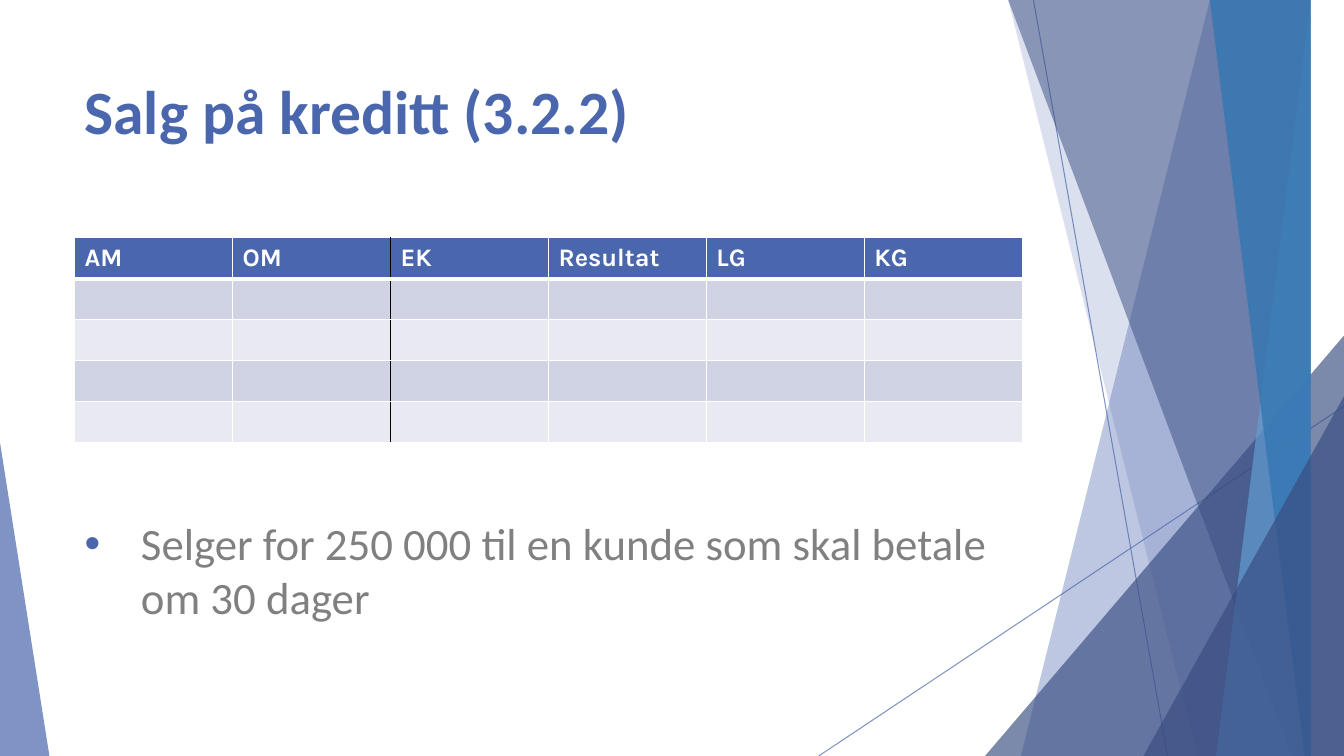
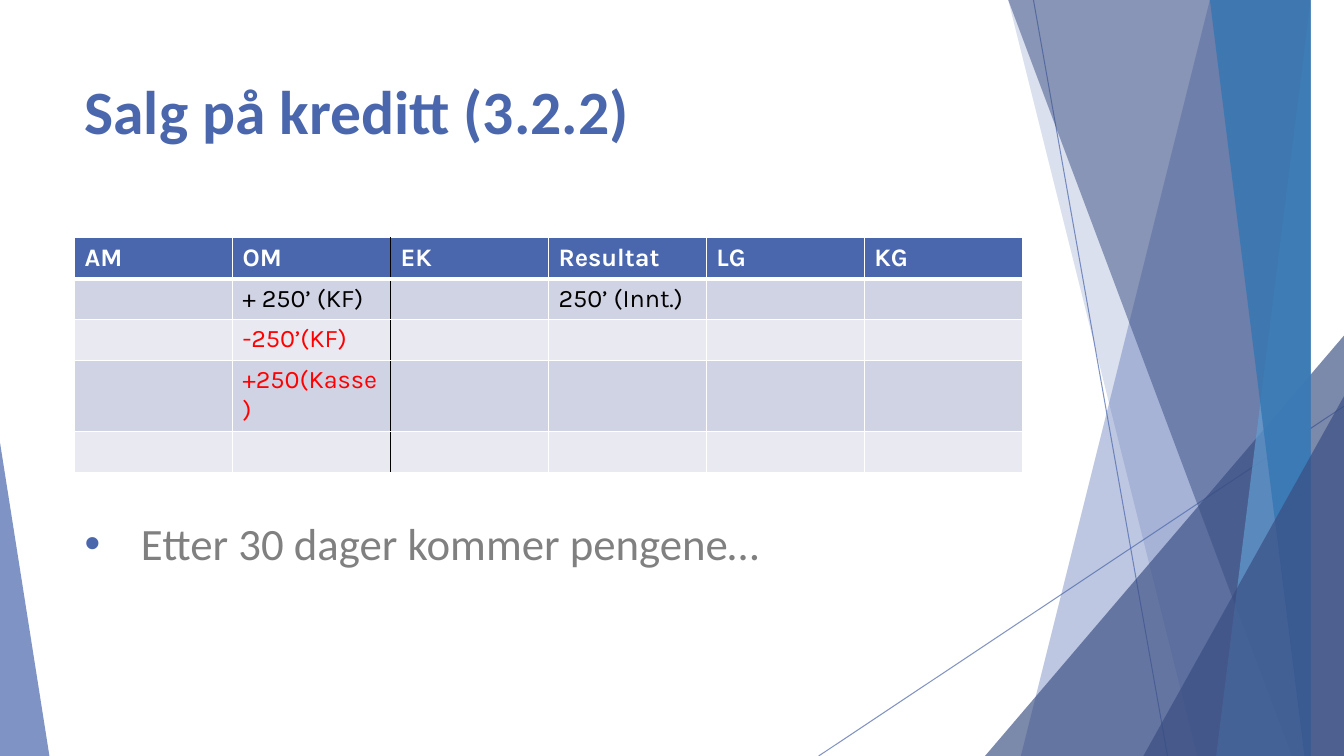
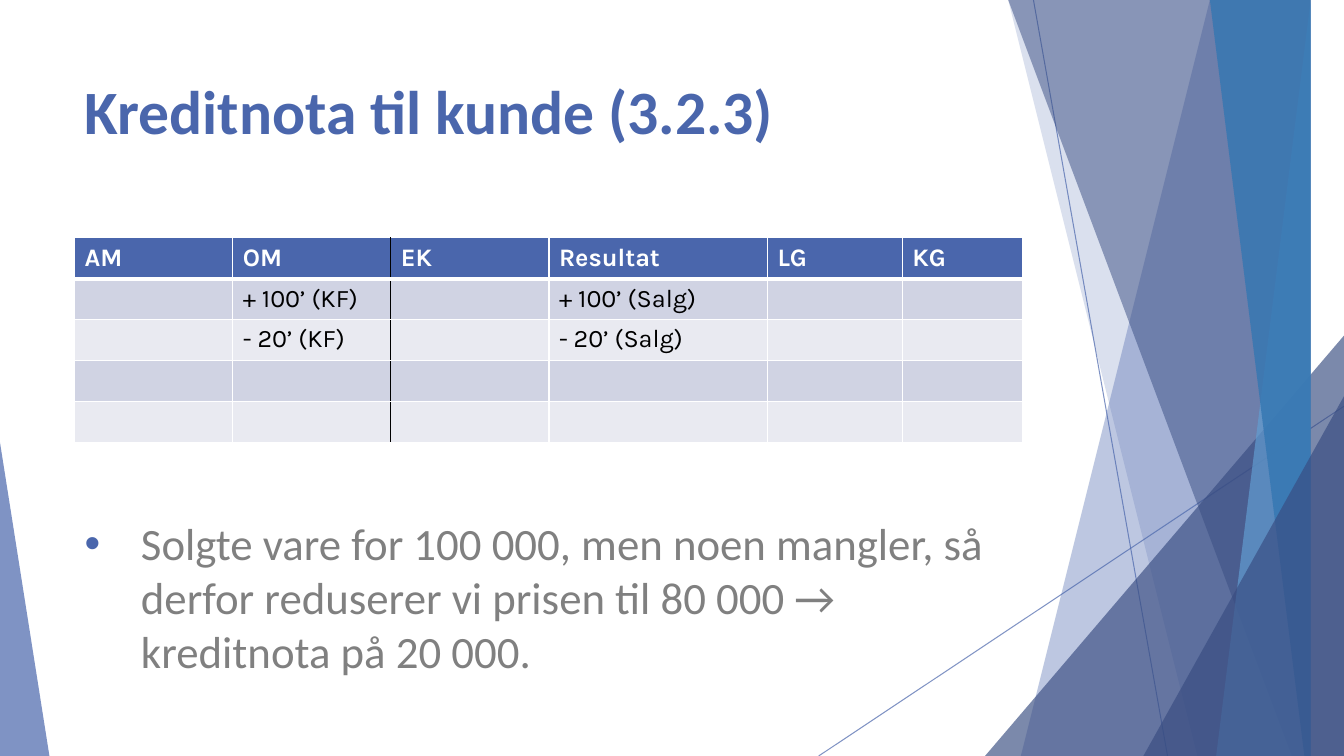
from lxml import etree
from pptx import Presentation
from pptx.dml.color import RGBColor
from pptx.enum.shapes import MSO_CONNECTOR, MSO_SHAPE
from pptx.enum.text import MSO_ANCHOR
from pptx.oxml import parse_xml
from pptx.oxml.ns import nsdecls, qn
from pptx.util import Inches, Pt

WIDTH, HEIGHT = 13.33, 7.5
BLUE, NAVY, SKY, OCEAN = "4A66AC", "384C81", "629DD1", "3477B2"
WHITE, BLACK, RED, GREY = "FFFFFF", "000000", "FF0000", "808080"
ROW_FILLS = ("E9EAF1", "D0D3E3")
HEADINGS = ("AM", "OM", "EK", "Resultat", "LG", "KG")
BODY_ROWS = 4
DIVIDER = 2  # black rule in front of this column

# Content boxes: left, top, width, height
LEFT, CONTENT_WIDTH = 0.74, 9.4
TITLE_BOX = (LEFT, 0.67, CONTENT_WIDTH, 1.44)
TABLE_BOX = (LEFT, 2.36, CONTENT_WIDTH, 2.03)
NOTE_BOX = (LEFT, 4.39, CONTENT_WIDTH, 2.22)

# Thin lines: start and end
RAYS = (((10.25, 0), (11.58, HEIGHT)), ((WIDTH, 4.03), (8.12, HEIGHT)))

# Facets from back to front: outline, colour, opacity in percent.
# A band gives its left edge at top and bottom; a peak gives box and apex share.
FACETS = (
    ("band", (12.28, 10.04), BLUE, 36),
    ("band", (10.5, 11.83), BLUE, 20),
    ("peak", (9.77, 3.33, 3.56, 4.17, 1), NAVY, 66),
    ("band", (10.21, 12.91), NAVY, 50),
    ("band", (13.03, 11.92), SKY, 70),
    ("band", (11.96, 13.18), OCEAN, 80),
    ("peak", (11.34, 3.93, 1.99, 3.57, 1), NAVY, 66),
    ("peak", (0, 4.39, 0.49, 3.11, 0), BLUE, 70),
)

EQUAL = (1,) * len(HEADINGS)
SLIDES = (
    ("Salg på kreditt (3.2.2)", EQUAL, {},
     "Selger for 250 000 til en kunde som skal betale om 30 dager"),
    ("Salg på kreditt (3.2.2)", EQUAL,
     {(1, 1): ("+ 250’ (KF)", BLACK), (1, 3): ("250’ (Innt.)", BLACK),
      (2, 1): ("-250’(KF)", RED), (3, 1): ("+250(Kasse)", RED)},
     "Etter 30 dager kommer pengene…"),
    ("Kreditnota til kunde (3.2.3)", (1.57, 1.57, 1.57, 2.17, 1.34, 1.19),
     {(1, 1): ("+ 100’ (KF)", BLACK), (1, 3): ("+ 100’ (Salg)", BLACK),
      (2, 1): ("- 20’ (KF)", BLACK), (2, 3): ("- 20’ (Salg)", BLACK)},
     "Solgte vare for 100 000, men noen mangler, så derfor reduserer vi "
     "prisen til 80 000 → kreditnota på 20 000."),
)


def paint(target, color, opacity=100):
    """Give a fill a solid colour, see-through where opacity is below 100."""
    target.solid()
    target.fore_color.rgb = RGBColor.from_string(color)
    if opacity < 100:
        solid = target._xPr.find(qn("a:solidFill"))
        etree.SubElement(solid[0], qn("a:alpha"), val=str(opacity * 1000))


def style(paragraph, font_name, size, color, bold=False):
    font = paragraph.font
    font.name, font.size, font.bold = font_name, Pt(size), bold
    font.color.rgb = RGBColor.from_string(color)


def add_backdrop(slide):
    # Thin rays
    for start, end in RAYS:
        ray = slide.shapes.add_connector(
            MSO_CONNECTOR.STRAIGHT, *map(Inches, start + end))
        ray.line.width = Pt(0.75)
        paint(ray.line.fill, BLUE, 70)
        etree.SubElement(ray._element.spPr, qn("a:effectLst"))
    # Translucent facets
    for kind, outline, color, opacity in FACETS:
        if kind == "band":
            top_x, bottom_x = outline
            builder = slide.shapes.build_freeform(top_x, 0, scale=Inches(1))
            builder.add_line_segments(
                [(WIDTH, 0), (WIDTH, HEIGHT), (bottom_x, HEIGHT)], close=True)
            facet = builder.convert_to_shape()
        else:
            *box, apex = outline
            facet = slide.shapes.add_shape(
                MSO_SHAPE.ISOSCELES_TRIANGLE, *map(Inches, box))
            facet.adjustments[0] = apex
        facet.shadow.inherit = False
        facet.line.fill.background()
        paint(facet.fill, color, opacity)


def add_text(slide, box, text, size, color, bold=False):
    frame = slide.shapes.add_textbox(*map(Inches, box)).text_frame
    frame.word_wrap = True
    frame.vertical_anchor = MSO_ANCHOR.TOP
    paragraph = frame.paragraphs[0]
    paragraph.text = text
    style(paragraph, "Calibri", size, color, bold)
    return frame


def add_note(slide, box, text):
    frame = add_text(slide, box, text, 32, GREY)
    frame.margin_top = Inches(0.73)
    props = frame.paragraphs[0]._p.get_or_add_pPr()
    indent = Inches(0.56)
    props.set("marL", str(indent))
    props.set("indent", str(-indent))
    bullet = (
        f'<a:buClr {nsdecls("a")}><a:srgbClr val="{BLUE}"/></a:buClr>',
        f'<a:buFont {nsdecls("a")} typeface="Arial"/>',
        f'<a:buChar {nsdecls("a")} char="•"/>',
    )
    for position, part in enumerate(bullet):
        props.insert(position, parse_xml(part))


def set_borders(cell, row, column):
    sides = {
        "L": (BLACK if column == DIVIDER else WHITE, 1),
        "R": (BLACK if column == DIVIDER - 1 else WHITE, 1),
        "T": (WHITE, 3 if row == 1 else 1),
        "B": (WHITE, 3 if row == 0 else 1),
    }
    props = cell._tc.get_or_add_tcPr()
    for position, (side, (color, width)) in enumerate(sides.items()):
        props.insert(position, parse_xml(
            f'<a:ln{side} {nsdecls("a")} w="{Pt(width)}"><a:solidFill>'
            f'<a:srgbClr val="{color}"/></a:solidFill></a:ln{side}>'))


def add_ledger(slide, box, shares, entries):
    row_count = BODY_ROWS + 1
    ledger = slide.shapes.add_table(
        row_count, len(HEADINGS), *map(Inches, box)).table
    for column, share in zip(ledger.columns, shares):
        column.width = Inches(box[2] * share / sum(shares))
    for r in range(row_count):
        ledger.rows[r].height = Inches(box[3] / row_count)
        for c, heading in enumerate(HEADINGS):
            cell = ledger.cell(r, c)
            header = r == 0
            text, color = (heading, WHITE) if header else entries.get(
                (r, c), ("", BLACK))
            cell.text = text
            style(cell.text_frame.paragraphs[0], "Karla", 18, color, header)
            paint(cell.fill, BLUE if header else ROW_FILLS[r % 2])
            set_borders(cell, r, c)


def main():
    deck = Presentation()
    deck.slide_width, deck.slide_height = Inches(WIDTH), Inches(HEIGHT)
    for title, shares, entries, note in SLIDES:
        slide = deck.slides.add_slide(deck.slide_layouts[6])
        add_backdrop(slide)
        add_text(slide, TITLE_BOX, title, 44, BLUE, bold=True)
        add_ledger(slide, TABLE_BOX, shares, entries)
        add_note(slide, NOTE_BOX, note)
    deck.save("out.pptx")


if __name__ == "__main__":
    main()
